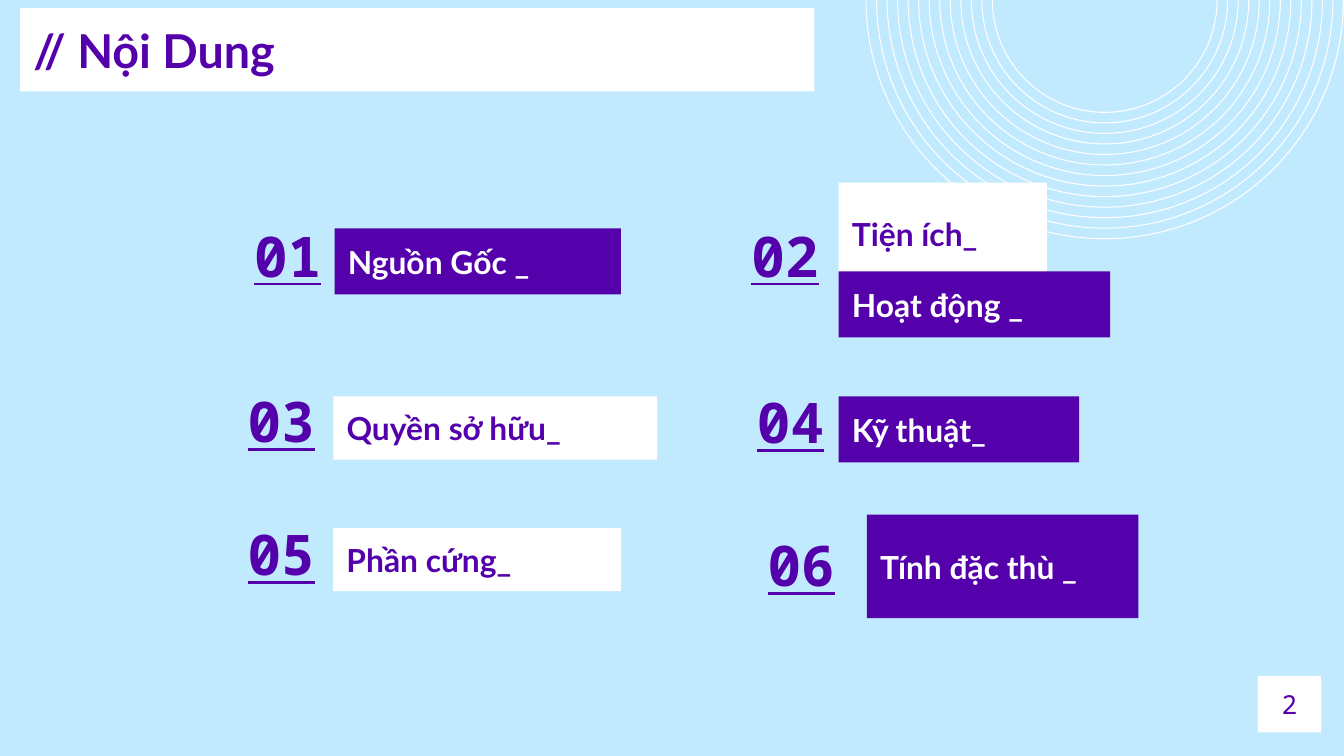
from dataclasses import dataclass

from pptx import Presentation
from pptx.dml.color import RGBColor
from pptx.enum.shapes import MSO_SHAPE
from pptx.enum.text import MSO_ANCHOR, PP_ALIGN
from pptx.util import Emu, Pt

PX = 9144  # 100 px to the inch
WIDTH = 1000
PAD = 10

SKY = RGBColor(0xC2, 0xEA, 0xFF)
PURPLE = RGBColor(0x54, 0x01, 0xAC)
WHITE = RGBColor(0xFF, 0xFF, 0xFF)

SANS = "Lato"
MONO = "Noto Sans Mono"

RING_X = 822
RING_COUNT = 13
RING_FIRST, RING_LAST = 84, 178
RING_LINE = 0.75
HALF_TURN = 108  # 180 degrees as an adjustment value


@dataclass
class Label:
    text: str
    x: int
    y: int
    w: int
    h: int
    fill: RGBColor = PURPLE


@dataclass
class Number:
    text: str
    x: int
    y: int
    w: int = 78


LABELS = [
    Label("Tiện ích_", 624, 136, 155, 76, WHITE),
    Label("Quyền sở hữu_", 248, 295, 241, 47, WHITE),
    Label("Nguồn Gốc _", 249, 170, 213, 49),
    Label("Hoạt động _", 624, 202, 202, 49),
    Label("Tính đặc thù _", 645, 383, 202, 77),
    Label("Kỹ thuật_", 624, 295, 179, 49),
    Label("Phần cứng_", 248, 393, 214, 47, WHITE),
]

NUMBERS = [
    Number("01", 171, 154),
    Number("02", 533, 154, 86),
    Number("03", 166, 277),
    Number("04", 545, 278),
    Number("05", 166, 376),
    Number("06", 545, 384, 86),
]


def px(n: float) -> Emu:
    return Emu(round(n * PX))


def write(sp, text: str, font: str, size: int, color: RGBColor, bold: bool = True,
          underline: bool = False, align=PP_ALIGN.LEFT, left: int = PAD) -> None:
    tf = sp.text_frame
    tf.word_wrap = True
    tf.vertical_anchor = MSO_ANCHOR.MIDDLE
    tf.margin_left = px(left)
    tf.margin_top = tf.margin_right = tf.margin_bottom = px(PAD)
    p = tf.paragraphs[0]
    p.alignment = align
    r = p.add_run()
    r.text = text
    r.font.name = font
    r.font.size = Pt(size)
    r.font.bold = bold
    r.font.underline = underline
    r.font.color.rgb = color


def add_filled(s, shape: MSO_SHAPE, x: float, y: float, w: float, h: float,
               fill: RGBColor):
    sp = s.shapes.add_shape(shape, px(x), px(y), px(w), px(h))
    sp.shadow.inherit = False
    sp.fill.solid()
    sp.fill.fore_color.rgb = fill
    sp.line.fill.background()
    return sp


def add_label(s, label: Label) -> None:
    sp = add_filled(s, MSO_SHAPE.RECTANGLE, label.x, label.y, label.w, label.h,
                    label.fill)
    write(sp, label.text, SANS, 17, PURPLE if label.fill == WHITE else WHITE)


def add_number(s, number: Number) -> None:
    sp = s.shapes.add_textbox(px(number.x), px(number.y), px(number.w), px(71))
    write(sp, number.text, MONO, 30, PURPLE, underline=True,
          align=PP_ALIGN.RIGHT, left=0)


def add_rings(s) -> None:
    gap = (RING_LAST - RING_FIRST) / (RING_COUNT - 1)
    for i in range(RING_COUNT):
        radius = RING_FIRST + i * gap
        size = 2 * radius
        sp = add_filled(s, MSO_SHAPE.BLOCK_ARC, RING_X - radius, -radius,
                        size, size, WHITE)
        sp.adjustments[0] = 0
        sp.adjustments[1] = HALF_TURN
        sp.adjustments[2] = RING_LINE / size


def main() -> None:
    prs = Presentation()
    prs.slide_width = px(WIDTH)
    prs.slide_height = px(WIDTH * 9 / 16)
    s = prs.slides.add_slide(prs.slide_layouts[6])
    s.background.fill.solid()
    s.background.fill.fore_color.rgb = SKY

    # Half rings hanging from the top edge
    add_rings(s)

    # Title
    title = add_filled(s, MSO_SHAPE.RECTANGLE, 15, 6, 591, 62, WHITE)
    write(title, "// Nội Dung", SANS, 25, PURPLE)

    # Contents
    for label in LABELS:
        add_label(s, label)
    for number in NUMBERS:
        add_number(s, number)

    # Page number
    page = add_filled(s, MSO_SHAPE.RECTANGLE, 936, 503, 47, 42, WHITE)
    write(page, "2", MONO, 14, PURPLE, bold=False, align=PP_ALIGN.CENTER)

    prs.save("out.pptx")


if __name__ == "__main__":
    main()
